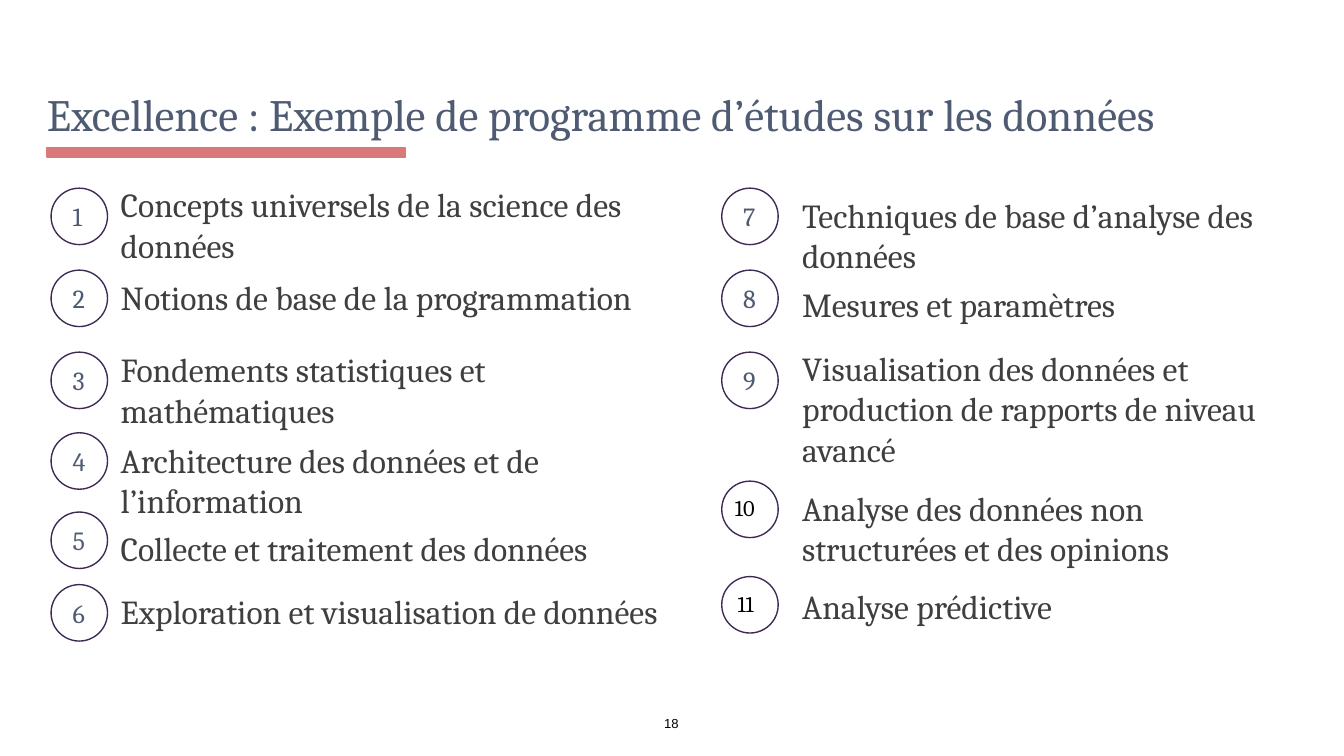
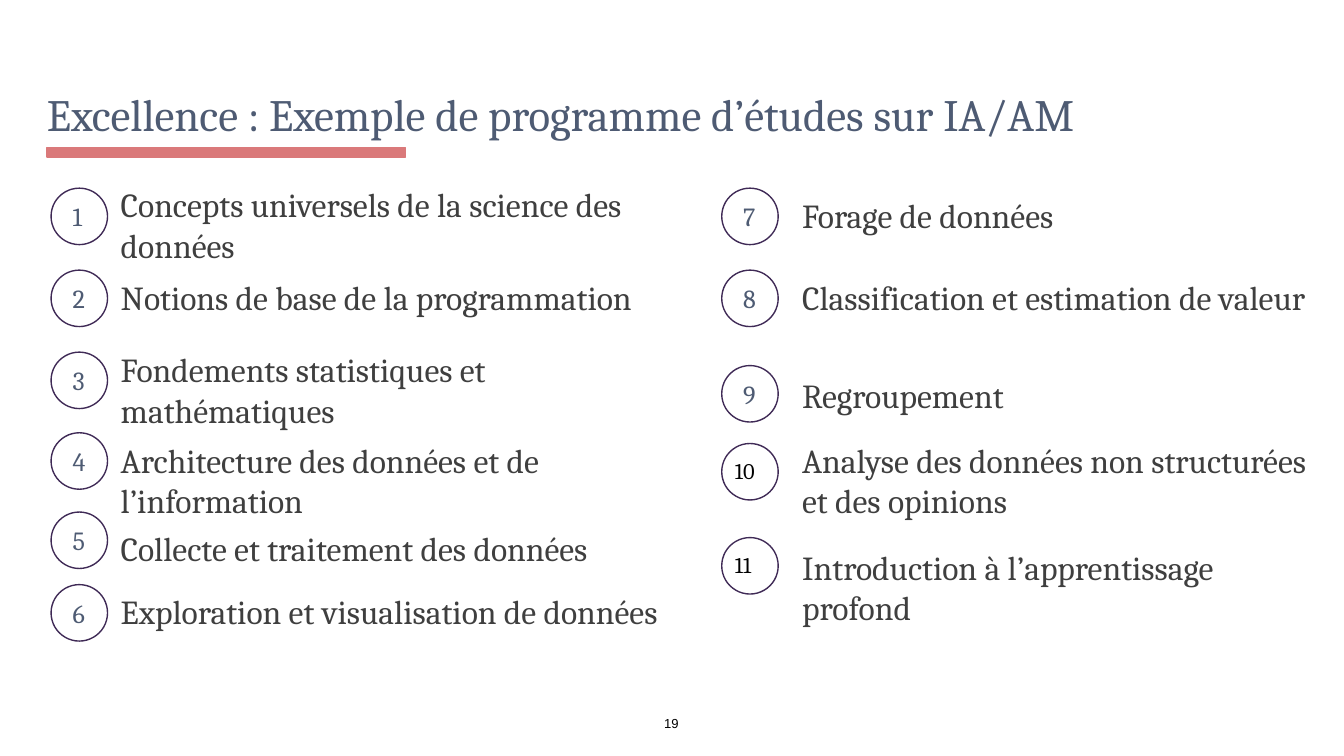
import pptx
import pptx.util
import pptx.dml.color
import pptx.enum.shapes
import pptx.enum.text

WIDE = 10
HIGH = WIDE * 9 / 16
CELL = WIDE / 100  # square grid: 100 columns across the slide

SERIF, SANS = "Cambria", "Arial"
SLATE, ROSE, PLUM = "4E5B73", "DA797A", "3F2A56"
GREY, BLACK, WHITE = "3F3F3F", "000000", "FFFFFF"

RING = 4.2
LEFT, RIGHT = (3.8, 8), (53.7, 58.7)  # columns of the rings and of the topics

# Each topic: wording, row of its ring, then row, width and height of its text
BASE = [
    ("Concepts universels de la science des données", 14, 12.7, 40.8, 6.8),
    ("Notions de base de la programmation", 20.1, 19.6, 43.8, 6),
    ("Fondements statistiques et mathématiques", 26.2, 25, 43.8, 6.6),
    ("Architecture des données et de l’information", 32.2, 31.7, 43.2, 6.8),
    ("Collecte et traitement des données", 38.1, 38.3, 40.4, 5.2),
    ("Exploration et visualisation de données", 43.5, 43, 49.8, 6),
]
DATA = [
    ("Techniques de base d’analyse des données", 14, 13.5, 40.4, 7.1),
    ("Mesures et paramètres", 20.1, 20.1, 40.4, 5.2),
    ("Visualisation des données et production de rapports de niveau avancé",
     26.2, 24.9, 39.8, 9.6),
    ("Analyse des données non structurées et des opinions",
     35.8, 35.3, 37.6, 8.9),
    ("Analyse prédictive", 42.9, 42.6, 24.1, 4.9),
]
LEARN = [
    ("Forage de données", 14, 13.5, 40.4, 7.1),
    ("Classification et estimation de valeur", 20.1, 19.6, 41.9, 6.6),
    ("Regroupement", 27.2, 26.9, 21.1, 6),
    ("Analyse des données non structurées et des opinions",
     33, 31.7, 40.4, 8.9),
    ("Introduction à l’apprentissage profond", 40, 39.7, 39.9, 8.9),
]
# Title, right-hand topics, page number, shift of the last ring's number
PAGES = [
    ("Excellence : Exemple de programme d’études sur les données",
     DATA, 18, 0.2),
    ("Excellence : Exemple de programme d’études sur IA/AM", LEARN, 19, 0),
]


def color(code):
    return pptx.dml.color.RGBColor.from_string(code)


def grid(*cells):
    return [pptx.util.Inches(n * CELL) for n in cells]


def write(shape, text, size=18, font=SERIF, ink=GREY, inset=1,
          anchor="TOP", align="LEFT", lead=None):
    frame = shape.text_frame
    frame.word_wrap = True
    frame.vertical_anchor = getattr(pptx.enum.text.MSO_ANCHOR, anchor)
    frame.margin_left = frame.margin_right = grid(inset)[0]
    frame.margin_top = frame.margin_bottom = grid(inset)[0]
    para = frame.paragraphs[0]
    para.alignment = getattr(pptx.enum.text.PP_ALIGN, align)
    if lead:
        para.line_spacing = lead
    run = para.add_run()
    run.text = text
    run.font.size = pptx.util.Pt(size)
    run.font.name = font
    run.font.color.rgb = color(ink)


def label(slide, area, text, **look):
    write(slide.shapes.add_textbox(*grid(*area)), text, **look)


def draw(slide, kind, area, line, fill=None):
    form = getattr(pptx.enum.shapes.MSO_SHAPE, kind)
    shape = slide.shapes.add_shape(form, *grid(*area))
    shape.shadow.inherit = False
    if fill:
        shape.fill.solid()
        shape.fill.fore_color.rgb = color(fill)
    else:
        shape.fill.background()
    shape.line.color.rgb = color(line)
    shape.line.width = pptx.util.Pt(0.75)
    return shape


def badge(slide, col, row, number, shift=0):
    """Draw a numbered ring; two digits need a text box as wide as the ring."""
    ring = draw(slide, "OVAL", (col, row, RING, RING), PLUM)
    if number < 10:
        write(ring, str(number), size=14, ink=SLATE, anchor="MIDDLE")
    else:
        label(slide, (col + shift, row, RING, RING), str(number),
              size=12, ink=BLACK)


def topics(slide, cols, items, first, shift=0):
    """List the topics in one column; shift moves the last number sideways."""
    last = first + len(items) - 1
    for number, (text, spot, row, width, height) in enumerate(items, first):
        badge(slide, cols[0], spot, number, shift if number == last else 0)
        label(slide, (cols[1], row, width, height), text)


def frame(slide, title, page):
    """Add the background, title, accent bar and page number."""
    slide.background.fill.solid()
    slide.background.fill.fore_color.rgb = color(WHITE)
    label(slide, (3.5, 1.6, 93, 8.9), title, size=24, ink=SLATE,
          inset=0, anchor="BOTTOM", lead=0.9)
    draw(slide, "RECTANGLE", (3.5, 11, 26.7, 0.7), ROSE, ROSE)
    label(slide, (48.3, 53, 3.3, 1.6), str(page), size=7, font=SANS,
          ink=BLACK, inset=0, anchor="MIDDLE", align="CENTER")


def main():
    deck = pptx.Presentation()
    deck.slide_width = pptx.util.Inches(WIDE)
    deck.slide_height = pptx.util.Inches(HIGH)
    for title, items, page, shift in PAGES:
        slide = deck.slides.add_slide(deck.slide_layouts[6])
        frame(slide, title, page)
        topics(slide, LEFT, BASE, 1)
        topics(slide, RIGHT, items, len(BASE) + 1, shift)
    deck.save("out.pptx")


if __name__ == "__main__":
    main()
